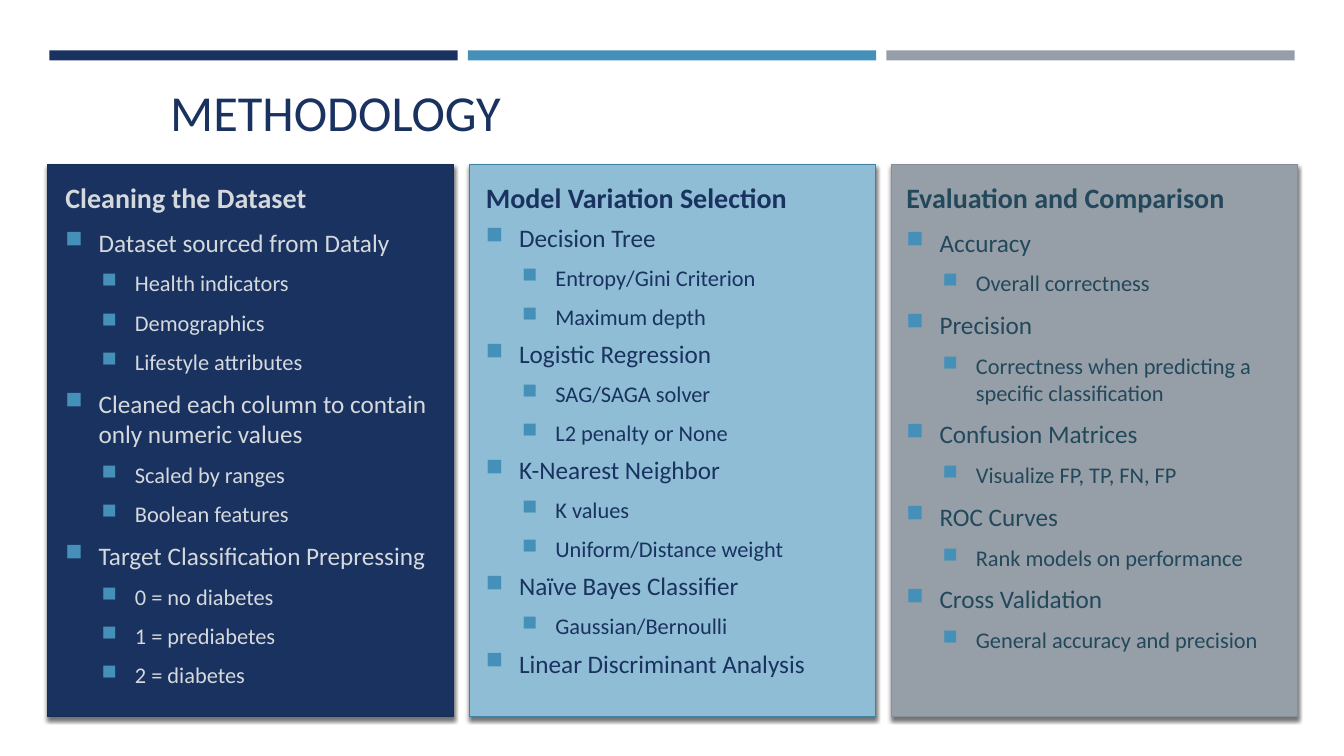
import pptx
import pptx.util
import pptx.dml.color
import pptx.enum.shapes
import pptx.enum.text
import pptx.oxml
import pptx.oxml.ns
from pptx.util import Inches, Pt

NAVY, BLUE, GREY = "1A3260", "4590B8", "969FA7"
BAR_COLOURS = [NAVY, BLUE, GREY]

COLUMNS = [
    {
        "fill": NAVY, "edge": "172D56", "ink": "D5D9DC", "leading": None,
        "heading": "Cleaning the Dataset",
        "topics": [
            ("Dataset sourced from Dataly",
             ["Health indicators", "Demographics", "Lifestyle attributes"]),
            ("Cleaned each column to contain only numeric values",
             ["Scaled by ranges", "Boolean features"]),
            ("Target Classification Prepressing",
             ["0 = no diabetes", "1 = prediabetes", "2 = diabetes"]),
        ],
    },
    {
        "fill": "8FBDD5", "edge": "3E82A6", "ink": NAVY, "leading": 18.6,
        "heading": "Model Variation Selection",
        "topics": [
            ("Decision Tree", ["Entropy/Gini Criterion", "Maximum depth"]),
            ("Logistic Regression", ["SAG/SAGA solver", "L2 penalty or None"]),
            ("K-Nearest Neighbor", ["K values", "Uniform/Distance weight"]),
            ("Naïve Bayes Classifier", ["Gaussian/Bernoulli"]),
            ("Linear Discriminant Analysis", []),
        ],
    },
    {
        "fill": GREY, "edge": "858F99", "ink": "23485C", "leading": None,
        "heading": "Evaluation and Comparison",
        "topics": [
            ("Accuracy", ["Overall correctness"]),
            ("Precision", ["Correctness when predicting a specific classification"]),
            ("Confusion Matrices", ["Visualize FP, TP, FN, FP"]),
            ("ROC Curves", ["Rank models on performance"]),
            ("Cross Validation", ["General accuracy and precision"]),
        ],
    },
]


def colour(value):
    """Turn a hex string into a colour."""
    return pptx.dml.color.RGBColor.from_string(value)


def add_xml(parent, markup):
    """Append one DrawingML element to a parent element."""
    namespace = pptx.oxml.ns.nsdecls("a")
    tag, rest = markup[1:].split(" ", 1)
    parent.append(pptx.oxml.parse_xml(f"<{tag} {namespace} {rest}"))


def add_rectangle(page, left, top, width, height, fill):
    """Add a plain filled rectangle."""
    shape = page.shapes.add_shape(
        pptx.enum.shapes.MSO_SHAPE.RECTANGLE,
        Inches(left), Inches(top), Inches(width), Inches(height))
    shape.shadow.inherit = False
    shape.fill.solid()
    shape.fill.fore_color.rgb = colour(fill)
    shape.line.fill.background()
    return shape


def add_panel(page, left, fill, edge):
    """Add an outlined column panel with a soft shadow below it."""
    panel = add_rectangle(page, left, 1.63, 4.03, 5.48, fill)
    panel.line.color.rgb = colour(edge)
    panel.line.width = Pt(1)
    effects = panel.element.spPr.find(pptx.oxml.ns.qn("a:effectLst"))
    add_xml(effects,
            f'<a:outerShdw blurRad="{Pt(3)}" dist="{Pt(2)}" dir="5400000" rotWithShape="0">'
            '<a:srgbClr val="000000"><a:alpha val="55000"/></a:srgbClr></a:outerShdw>')


def add_text_box(page, left, top, width, height):
    """Add a wrapping text box and return its text frame."""
    box = page.shapes.add_textbox(
        Inches(left), Inches(top), Inches(width), Inches(height))
    box.text_frame.word_wrap = True
    return box.text_frame


def style_font(para, size, ink, bold=False):
    """Set the font of a whole paragraph."""
    para.font.name = "Calibri"
    para.font.size = Pt(size)
    para.font.bold = bold
    para.font.color.rgb = colour(ink)


def space_paragraph(para, size):
    """Set the gaps around a paragraph in proportion to its size."""
    para.space_before = Pt(round(size * 0.18, 1))
    para.space_after = Pt(6)


def add_bullet(frame, text, level, ink, leading):
    """Add a square-bulleted paragraph at the given level."""
    para = frame.add_paragraph()
    para.text = text
    para.level = level
    size = 18 - 2 * level
    space_paragraph(para, size)
    if leading:
        para.line_spacing = Pt(leading)
    properties = para._p.get_or_add_pPr()
    properties.set("marL", str(Inches(0.33 + 0.36 * level)))
    properties.set("indent", str(Inches(-0.33)))
    add_xml(properties, f'<a:buClr ><a:srgbClr val="{BLUE}"/></a:buClr>')
    add_xml(properties, '<a:buSzPct val="92000"/>')
    add_xml(properties, '<a:buChar char="■"/>')
    style_font(para, size, ink)


def add_column(page, index, column):
    """Add one panel with its heading and bulleted topics."""
    add_panel(page, 0.47 + 4.185 * index, column["fill"], column["edge"])
    frame = add_text_box(page, 0.55 + 4.17 * index, 1.74, 3.88, 5.2)
    heading = frame.paragraphs[0]
    heading.text = column["heading"]
    space_paragraph(heading, 20)
    style_font(heading, 20, column["ink"], bold=True)
    for topic, details in column["topics"]:
        add_bullet(frame, topic, 0, column["ink"], column["leading"])
        for detail in details:
            add_bullet(frame, detail, 1, column["ink"], column["leading"])


def add_title(page, text):
    """Add the slide title."""
    frame = add_text_box(page, 1.59, 0.56, 11.74, 1.08)
    frame.vertical_anchor = pptx.enum.text.MSO_ANCHOR.MIDDLE
    frame.paragraphs[0].text = text
    style_font(frame.paragraphs[0], 36, NAVY)


def main():
    """Build and save the slide."""
    deck = pptx.Presentation()
    deck.slide_width = Inches(13.33)
    deck.slide_height = Inches(7.5)
    page = deck.slides.add_slide(deck.slide_layouts[6])
    for index, fill in enumerate(BAR_COLOURS):
        add_rectangle(page, 0.49 + 4.15 * index, 0.5, 4.05, 0.1, fill)
    add_title(page, "METHODOLOGY")
    for index, column in enumerate(COLUMNS):
        add_column(page, index, column)
    deck.save("out.pptx")


main()
